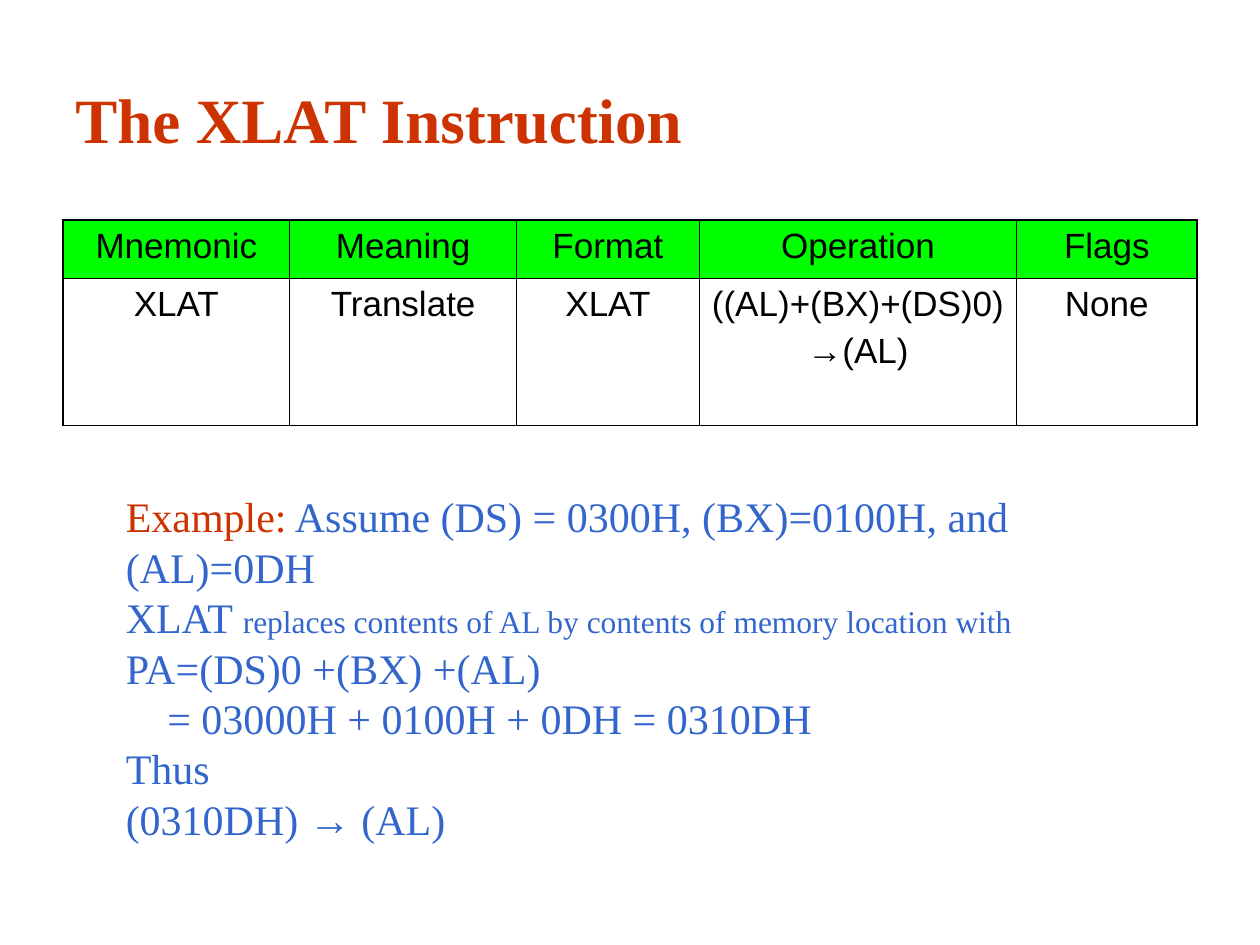
from dataclasses import dataclass

import pptx
import pptx.dml.color
import pptx.enum.text
import pptx.oxml.ns
import pptx.util
from lxml import etree

WIDTH, HEIGHT = 10, 7.5
SERIF, SANS = "Times New Roman", "Arial"
RED, BLUE, GREEN, BLACK, WHITE = "CC3300", "3366CC", "00FF00", "000000", "FFFFFF"
THIN, THICK = 0.45, 1.08
COLUMNS = [1.8, 1.8, 1.45, 2.52, 1.43]
ROWS = [0.46, 1.17]
CELLS = [
    ["Mnemonic", "Meaning", "Format", "Operation", "Flags"],
    ["XLAT", "Translate", "XLAT", "((AL)+(BX)+(DS)0)\n→(AL)", "None"],
]


@dataclass
class Run:
    text: str
    color: str = BLUE
    size: float = 24
    font: str = SERIF
    bold: bool = False


@dataclass
class Line:
    runs: list[Run]
    indent: float = 0


TITLE = [Line([Run("The XLAT Instruction", RED, 36, bold=True)])]
EXAMPLE = [
    Line([Run("Example:", RED), Run(" Assume (DS) = 0300H, (BX)=0100H, and (AL)=0DH")]),
    Line([Run("XLAT "),
          Run("replaces contents of AL by contents of memory location with", size=18)]),
    Line([Run("PA=(DS)0 +(BX) +(AL)")]),
    Line([Run("= 03000H + 0100H + 0DH = 0310DH")], indent=0.33),
    Line([Run("Thus")]),
    Line([Run("(0310DH) "), Run("→", font=SANS), Run(" (AL)")]),
]


def rgb(color: str) -> pptx.dml.color.RGBColor:
    return pptx.dml.color.RGBColor.from_string(color)


def add_run(p, run: Run) -> None:
    r = p.add_run()
    r.text = run.text
    r.font.name, r.font.bold = run.font, run.bold
    r.font.size = pptx.util.Pt(run.size)
    r.font.color.rgb = rgb(run.color)


def add_text(slide, x: float, y: float, w: float, h: float, lines: list[Line],
             anchor=pptx.enum.text.MSO_ANCHOR.TOP) -> None:
    """Place a text box; its frame is given as shares of the slide."""
    sp = slide.shapes.add_textbox(
        pptx.util.Inches(x * WIDTH), pptx.util.Inches(y * HEIGHT),
        pptx.util.Inches(w * WIDTH), pptx.util.Inches(h * HEIGHT))
    tf = sp.text_frame
    tf.word_wrap, tf.vertical_anchor = True, anchor
    for i, line in enumerate(lines):
        p = tf.add_paragraph() if i else tf.paragraphs[0]
        if line.indent:
            p._p.get_or_add_pPr().set("marL", str(pptx.util.Inches(line.indent)))
        for run in line.runs:
            add_run(p, run)


def set_borders(cell, widths: dict[str, float]) -> None:
    tc_pr = cell._tc.get_or_add_tcPr()
    for i, (side, width) in enumerate(widths.items()):
        ln = etree.Element(pptx.oxml.ns.qn(f"a:ln{side}"), w=str(pptx.util.Pt(width)))
        fill = etree.SubElement(ln, pptx.oxml.ns.qn("a:solidFill"))
        etree.SubElement(fill, pptx.oxml.ns.qn("a:srgbClr"), val=BLACK)
        tc_pr.insert(i, ln)


def fill_cell(cell, text: str, color: str) -> None:
    cell.fill.solid()
    cell.fill.fore_color.rgb = rgb(color)
    tf = cell.text_frame
    for i, part in enumerate(text.split("\n")):
        p = tf.add_paragraph() if i else tf.paragraphs[0]
        p.alignment = pptx.enum.text.PP_ALIGN.CENTER
        if i:
            p.space_before = pptx.util.Pt(5)
        add_run(p, Run(part, BLACK, 20, SANS))


def add_instruction_table(slide, x: float, y: float) -> None:
    table = slide.shapes.add_table(
        len(ROWS), len(COLUMNS),
        pptx.util.Inches(x * WIDTH), pptx.util.Inches(y * HEIGHT),
        pptx.util.Inches(sum(COLUMNS)), pptx.util.Inches(sum(ROWS))).table
    for column, width in zip(table.columns, COLUMNS):
        column.width = pptx.util.Inches(width)
    last_row, last_column = len(ROWS) - 1, len(COLUMNS) - 1
    for i, texts in enumerate(CELLS):
        table.rows[i].height = pptx.util.Inches(ROWS[i])
        for j, text in enumerate(texts):
            cell = table.cell(i, j)
            fill_cell(cell, text, WHITE if i else GREEN)
            outer = {"L": j == 0, "R": j == last_column, "T": i == 0, "B": i == last_row}
            set_borders(cell, {side: THICK if edge else THIN for side, edge in outer.items()})


def main() -> None:
    prs = pptx.Presentation()
    prs.slide_width = pptx.util.Inches(WIDTH)
    prs.slide_height = pptx.util.Inches(HEIGHT)
    slide = prs.slides.add_slide(prs.slide_layouts[6])
    add_text(slide, 0.05, 0.04, 0.9, 0.17, TITLE, pptx.enum.text.MSO_ANCHOR.MIDDLE)
    add_instruction_table(slide, 0.05, 0.233)
    add_text(slide, 0.09, 0.513, 0.81, 0.387, EXAMPLE)
    prs.save("out.pptx")


if __name__ == "__main__":
    main()
